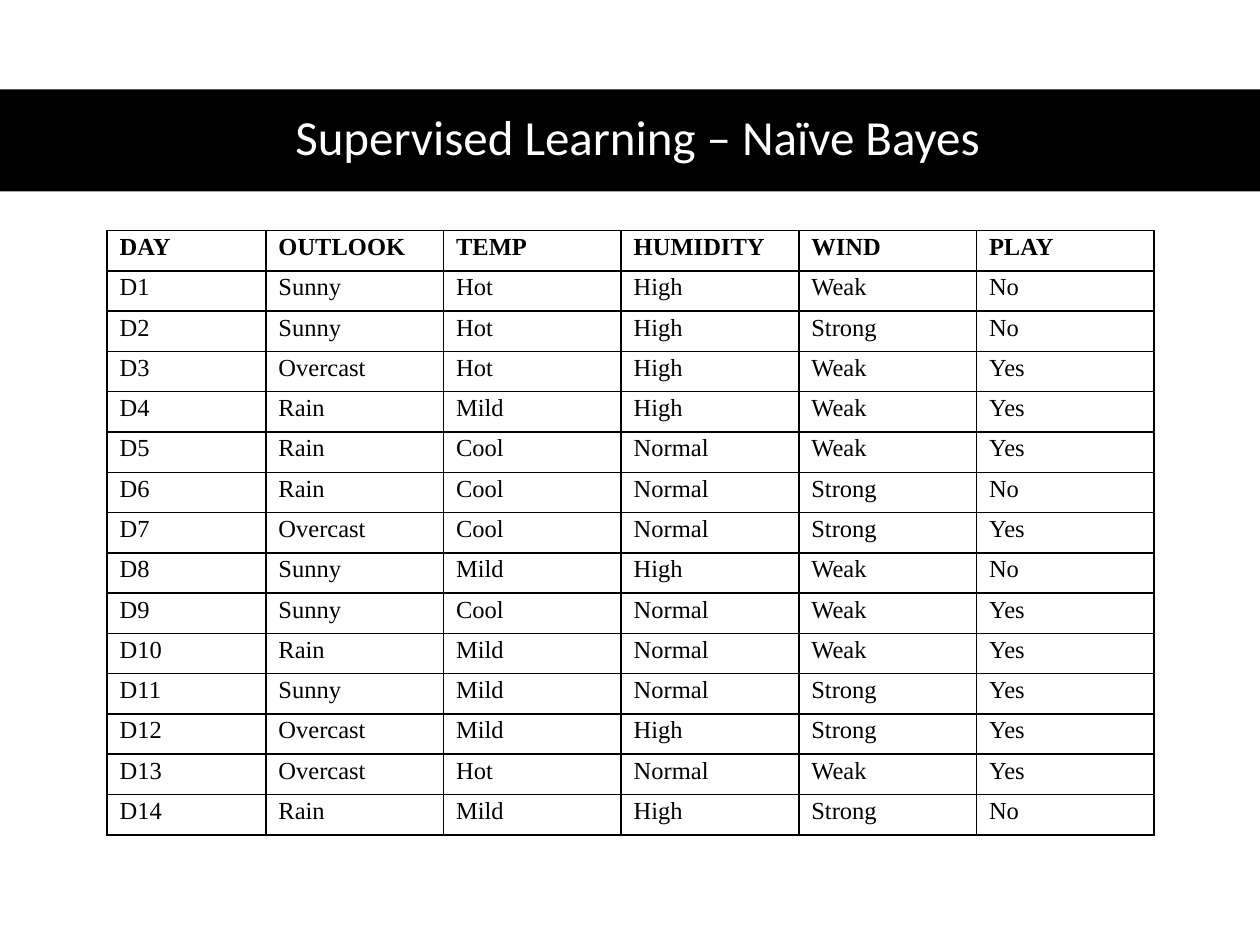
from lxml.etree import SubElement
from pptx import Presentation
from pptx.dml.color import RGBColor
from pptx.enum.shapes import MSO_SHAPE
from pptx.enum.text import MSO_ANCHOR, PP_ALIGN
from pptx.oxml.ns import qn
from pptx.util import Inches, Pt

TITLE = "Supervised Learning – Naïve Bayes"
HEADINGS = ("DAY", "OUTLOOK", "TEMP", "HUMIDITY", "WIND", "PLAY")
OBSERVATIONS = [
    ("Sunny", "Hot", "High", "Weak", "No"),
    ("Sunny", "Hot", "High", "Strong", "No"),
    ("Overcast", "Hot", "High", "Weak", "Yes"),
    ("Rain", "Mild", "High", "Weak", "Yes"),
    ("Rain", "Cool", "Normal", "Weak", "Yes"),
    ("Rain", "Cool", "Normal", "Strong", "No"),
    ("Overcast", "Cool", "Normal", "Strong", "Yes"),
    ("Sunny", "Mild", "High", "Weak", "No"),
    ("Sunny", "Cool", "Normal", "Weak", "Yes"),
    ("Rain", "Mild", "Normal", "Weak", "Yes"),
    ("Sunny", "Mild", "Normal", "Strong", "Yes"),
    ("Overcast", "Mild", "High", "Strong", "Yes"),
    ("Overcast", "Hot", "Normal", "Weak", "Yes"),
    ("Rain", "Mild", "High", "Strong", "No"),
]

THEME = {
    "ink": "000000",
    "border_width": Pt(1),
    "title": {"name": "Calibri", "size": Pt(28), "color": "FFFFFF"},
    "heading": {"name": "Times New Roman", "size": Pt(14), "color": "000000", "bold": True},
    "body": {"name": "Times New Roman", "size": Pt(14), "color": "000000", "bold": False},
}
CELL_FORMAT = {
    "margin_left": Inches(0.1), "margin_right": Inches(0.1),
    "margin_top": Inches(0.01), "margin_bottom": 0,
    "vertical_anchor": MSO_ANCHOR.TOP,
}

PAGE_WIDTH, PAGE_HEIGHT = Inches(10), Inches(7.5)
BAND = (0, Inches(0.71), PAGE_WIDTH, Inches(0.81))
TITLE_BOX = (Inches(0.46), Inches(0.7), Inches(9.2), Inches(0.81))
TABLE_LEFT, TABLE_TOP = Inches(0.85), Inches(1.83)
DAY_WIDTH, COLUMN_WIDTH, ROW_HEIGHT = Inches(1.26), Inches(1.41), Inches(0.32)


def apply(target, formats):
    for name, value in formats.items():
        if name == "color":
            target.color.rgb = RGBColor.from_string(value)
        else:
            setattr(target, name, value)


def write(para, text, style, line_spacing):
    para.line_spacing = line_spacing
    span = para.add_run()
    span.text = text
    apply(span.font, THEME[style])


def add_borders(cell):
    properties = cell._tc.get_or_add_tcPr()
    for side in ("lnL", "lnR", "lnT", "lnB"):
        line = SubElement(properties, qn(f"a:{side}"), w=str(THEME["border_width"]))
        fill = SubElement(line, qn("a:solidFill"))
        SubElement(fill, qn("a:srgbClr"), val=THEME["ink"])


def add_title(page):
    band = page.shapes.add_shape(MSO_SHAPE.RECTANGLE, *BAND)
    band.shadow.inherit = False
    band.fill.solid()
    band.fill.fore_color.rgb = RGBColor.from_string(THEME["ink"])
    band.line.fill.background()

    frame = page.shapes.add_textbox(*TITLE_BOX).text_frame
    apply(frame, {"word_wrap": True, "vertical_anchor": MSO_ANCHOR.MIDDLE})
    para = frame.paragraphs[0]
    para.alignment = PP_ALIGN.CENTER
    write(para, TITLE, "title", 0.9)


def add_observations(page):
    days = [(f"D{number}", *values) for number, values in enumerate(OBSERVATIONS, 1)]
    rows = [HEADINGS, *days]
    widths = [DAY_WIDTH] + [COLUMN_WIDTH] * (len(HEADINGS) - 1)
    table = page.shapes.add_table(
        len(rows), len(widths), TABLE_LEFT, TABLE_TOP, sum(widths), ROW_HEIGHT * len(rows)
    ).table
    apply(table, {"first_row": False, "horz_banding": False})
    for column, width in zip(table.columns, widths):
        column.width = width
    for row_index, values in enumerate(rows):
        table.rows[row_index].height = ROW_HEIGHT
        style = "body" if row_index else "heading"
        for column_index, text in enumerate(values):
            cell = table.cell(row_index, column_index)
            apply(cell, CELL_FORMAT)
            add_borders(cell)
            cell.fill.background()
            write(cell.text_frame.paragraphs[0], text, style, 1.07)


def main():
    deck = Presentation()
    apply(deck, {"slide_width": PAGE_WIDTH, "slide_height": PAGE_HEIGHT})
    page = deck.slides.add_slide(deck.slide_layouts[6])
    add_title(page)
    add_observations(page)
    deck.save("out.pptx")


if __name__ == "__main__":
    main()
